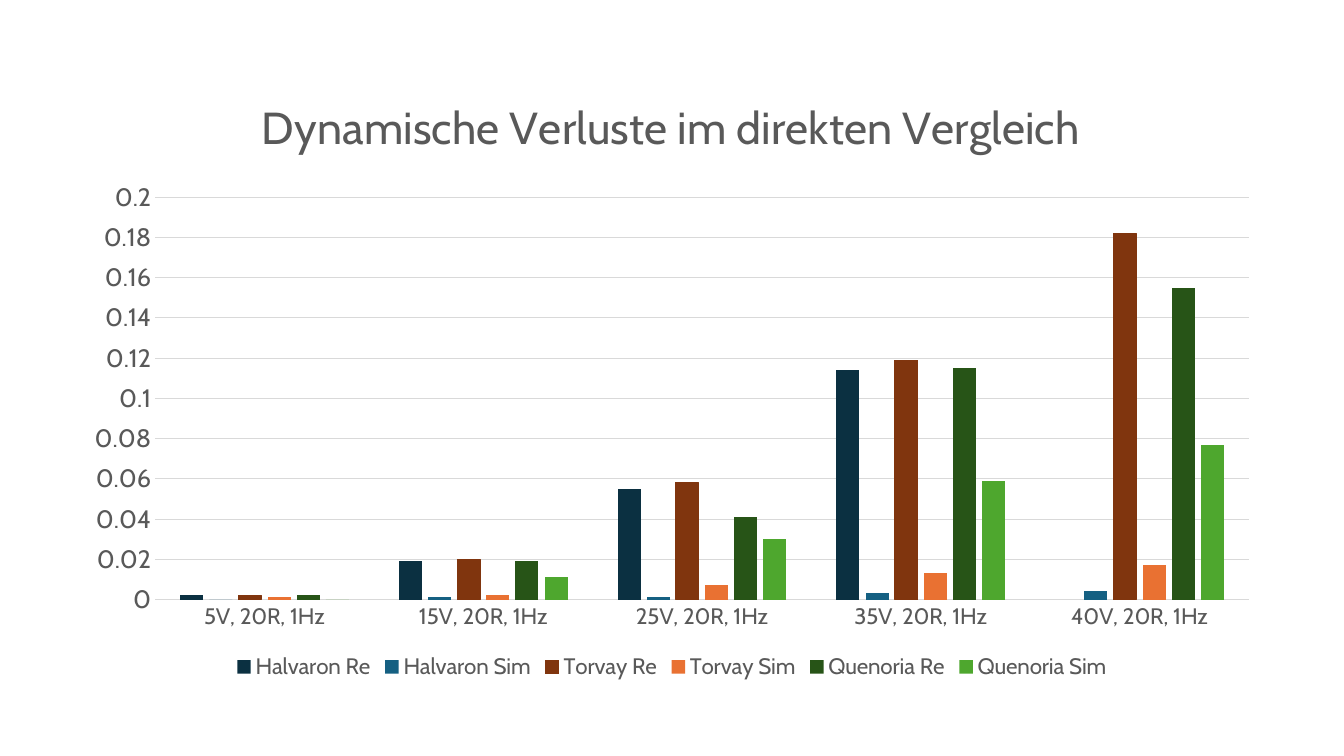
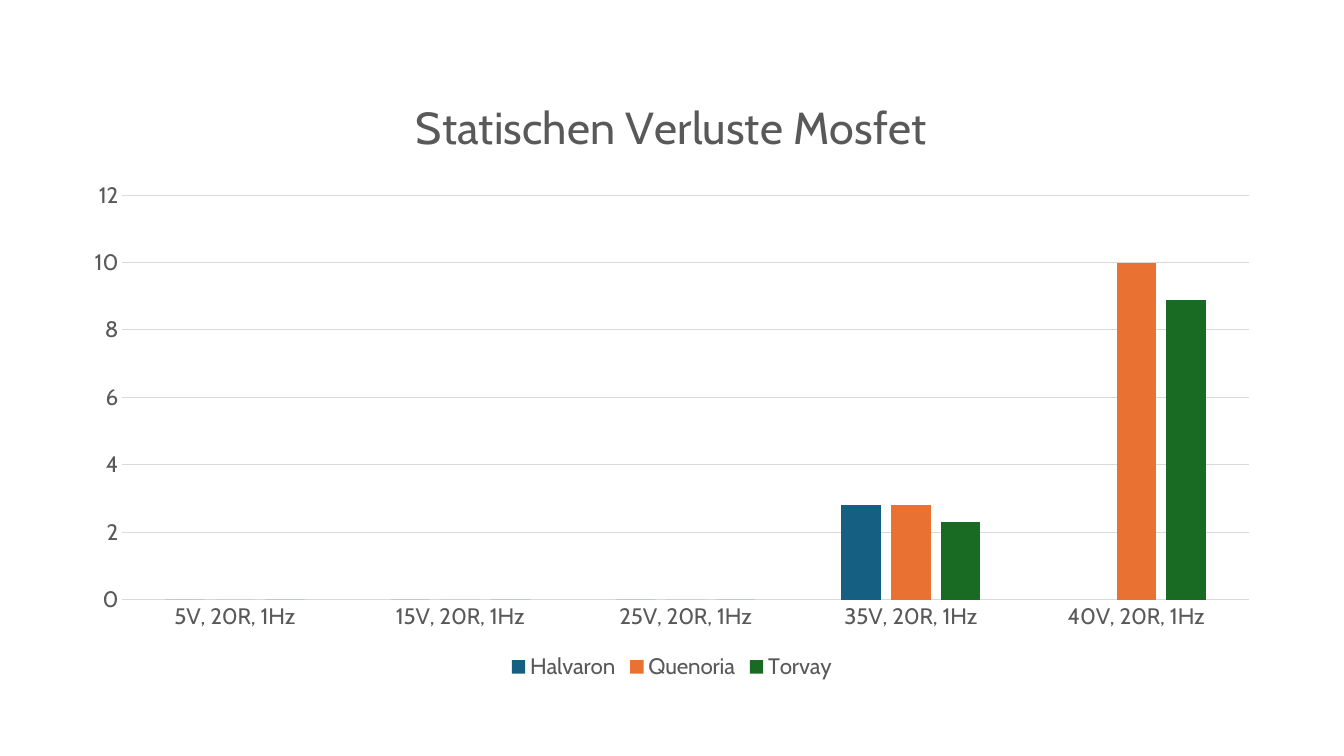
from pptx import Presentation
from pptx.chart.data import CategoryChartData
from pptx.dml.color import RGBColor
from pptx.enum.chart import XL_CHART_TYPE, XL_LEGEND_POSITION, XL_TICK_MARK
from pptx.util import Cm, Pt

COLUMNS = XL_CHART_TYPE.COLUMN_CLUSTERED
BOTTOM = XL_LEGEND_POSITION.BOTTOM
NO_TICK = XL_TICK_MARK.NONE

FONT = "Cabin"
TEXT = "595959"
RULE = "D9D9D9"
BLUE = "156082"
ORANGE = "E97132"
BROWN = "80350E"

CATEGORIES = [f"{volts}V, 20R, 1Hz" for volts in (5, 15, 25, 35, 40)]

# title, value axis text size, axis maximum, axis step, series
CHARTS = [
    ("Dynamische Verluste im direkten Vergleich", 18, 0.2, 0.02, [
        ("Halvaron Re", "0B3041", (0.002, 0.019, 0.055, 0.114, None)),
        ("Halvaron Sim", BLUE, (0, 0.001, 0.001, 0.003, 0.004)),
        ("Torvay Re", BROWN, (0.002, 0.02, 0.058, 0.119, 0.182)),
        ("Torvay Sim", ORANGE, (0.001, 0.002, 0.007, 0.013, 0.017)),
        ("Quenoria Re", "275417", (0.002, 0.019, 0.041, 0.115, 0.155)),
        ("Quenoria Sim", "4EA72E", (0, 0.011, 0.03, 0.059, 0.077)),
    ]),
    ("Statischen Verluste Mosfet", 16, 12, 2, [
        ("Halvaron", BLUE, (0, 0, 0, 2.8, None)),
        ("Quenoria", ORANGE, (0, 0, 0, 2.8, 10)),
        ("Torvay", "196B24", (0, 0, 0, 2.3, 8.9)),
    ]),
]


def rgb(color):
    return RGBColor.from_string(color)


def set_font(font, size):
    font.name = FONT
    font.size = Pt(size)
    font.bold = False
    font.color.rgb = rgb(TEXT)


prs = Presentation()
prs.slide_width, prs.slide_height = Cm(33.87), Cm(19.05)
blank = prs.slide_layouts[6]

for title, value_size, maximum, step, series in CHARTS:
    s = prs.slides.add_slide(blank)
    data = CategoryChartData()
    data.categories = CATEGORIES
    for name, _, values in series:
        data.add_series(name, values)
    chart = s.shapes.add_chart(
        COLUMNS, Cm(1.78), Cm(1.78), Cm(30.3), Cm(15.47), data).chart
    chart.font.name = FONT
    chart.font.size = Pt(10)

    chart.has_title = True
    p = chart.chart_title.text_frame.paragraphs[0]
    p.text = title
    set_font(p.runs[0].font, 32)

    chart.has_legend = True
    chart.legend.position = BOTTOM
    chart.legend.include_in_layout = False
    set_font(chart.legend.font, 16)

    category_axis, value_axis = chart.category_axis, chart.value_axis
    for axis, size in ((category_axis, 16), (value_axis, value_size)):
        axis.major_tick_mark = axis.minor_tick_mark = NO_TICK
        set_font(axis.tick_labels.font, size)
    value_axis.minimum_scale = 0
    value_axis.maximum_scale = maximum
    value_axis.major_unit = step
    value_axis.format.line.fill.background()
    for line in (category_axis.format.line,
                 value_axis.major_gridlines.format.line):
        line.color.rgb = rgb(RULE)
        line.width = Pt(0.75)

    plot = chart.plots[0]
    plot.vary_by_categories = False
    plot.gap_width = 219
    plot.overlap = -27
    for bars, (_, color, _) in zip(plot.series, series):
        bars.invert_if_negative = False
        bars.format.fill.solid()
        bars.format.fill.fore_color.rgb = rgb(color)
        if color == BROWN:
            bars.format.line.color.rgb = rgb(color)
            bars.format.line.width = Pt(0.75)

prs.save("out.pptx")
